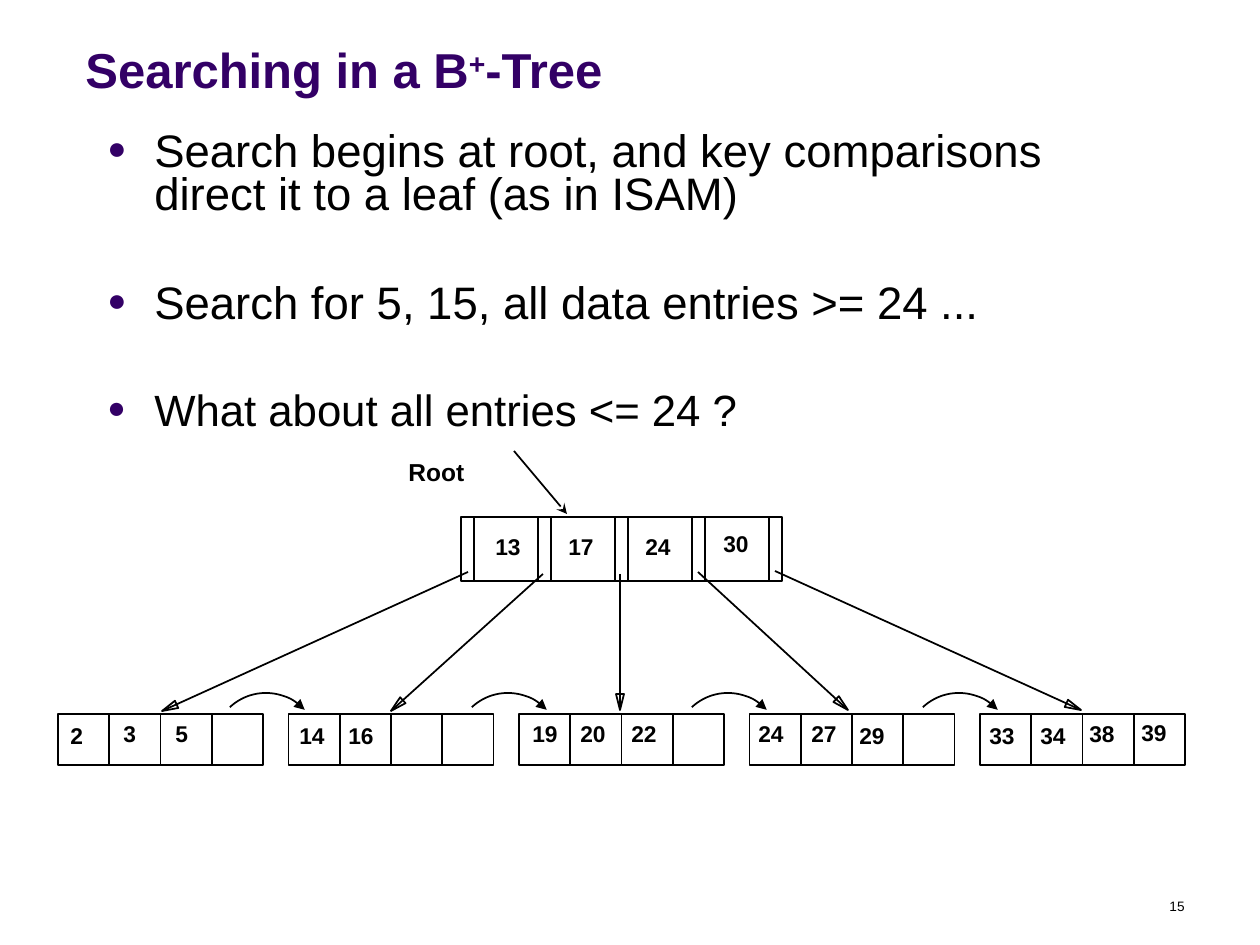
import math

from lxml import etree
from pptx import Presentation
from pptx.dml.color import RGBColor
from pptx.enum.shapes import MSO_CONNECTOR, MSO_SHAPE
from pptx.enum.text import MSO_ANCHOR, PP_ALIGN
from pptx.oxml.ns import qn
from pptx.util import Emu, Pt

STRAIGHT = MSO_CONNECTOR.STRAIGHT
RECTANGLE, ARC = MSO_SHAPE.RECTANGLE, MSO_SHAPE.ARC
TOP, BOTTOM = MSO_ANCHOR.TOP, MSO_ANCHOR.BOTTOM
LEFT, RIGHT = PP_ALIGN.LEFT, PP_ALIGN.RIGHT

SCALE = 914400 // 126
FONT = "Arial"
BLACK, PURPLE = "000000", "330066"

TITLE = [("Searching in a B", 0), ("+", 30), ("-Tree", 0)]
BULLETS = [
    ("Search begins at root, and key comparisons direct it to a leaf (as in ISAM)", 26, 6.5),
    ("Search for 5, 15, all data entries >= 24 ...", 26, 37),
    ("What about all entries <= 24 ?", 25, 37),
]
PAGE_NUMBER = "15"

ROOT_LEFT, ROOT_TOP, ROOT_STEP, ROOT_HEIGHT, STRIP = 461, 517, 77, 64, 13
ROOT_KEYS = [("13", 483, 527), ("17", 556, 527), ("24", 633, 527), ("30", 711, 524)]

LEAF_LEFT, LEAF_TOP, LEAF_STEP, CELL, CELLS = 58, 714, 230.5, 51.25, 4
LEAVES = [
    [("2", 58, 716), ("3", 111, 714), ("5", 163, 714)],
    [("14", 287, 716), ("16", 336, 716)],
    [("19", 520, 714), ("20", 568, 714), ("22", 619, 714)],
    [("24", 746, 714), ("27", 799, 714), ("29", 847, 716)],
    [("33", 977, 716), ("34", 1028, 716), ("38", 1077, 714), ("39", 1129, 713)],
]
POINTERS = [
    ((468, 572), (162, 711)),
    ((543, 574), (391, 711)),
    ((620, 574), (620, 710)),
    ((698, 572), (848, 710)),
    ((775, 571), (1081, 710)),
]
HEAD_LENGTH, HEAD_HALF_WIDTH = 16, 4
ARC_CENTERS, ARC_CENTER_Y, ARC_RADIUS = [266, 508, 728, 959], 746, 53


def px(value):
    return Emu(round(value * SCALE))


def color(value):
    return RGBColor.from_string(value)


def set_line(shape, arrow=None):
    shape.line.color.rgb = color(BLACK)
    shape.line.width = Pt(1)
    if arrow:
        line = shape.line._get_or_add_ln()
        etree.SubElement(line, qn("a:tailEnd"), type=arrow)


def add_text(slide, box, runs, size, fill=BLACK, bold=False, align=LEFT, anchor=TOP, wrap=True):
    shape = slide.shapes.add_textbox(*map(px, box))
    frame = shape.text_frame
    frame.word_wrap = wrap
    frame.vertical_anchor = anchor
    paragraph = frame.paragraphs[0]
    paragraph.alignment = align
    for text, baseline in runs:
        run = paragraph.add_run()
        run.text = text
        format_run(run, size, fill, bold)
        if baseline:
            run.font._element.set("baseline", str(baseline * 1000))


def format_run(run, size, fill=BLACK, bold=False):
    run.font.name = FONT
    run.font.size = Pt(size)
    run.font.bold = bold
    run.font.color.rgb = color(fill)


def add_bullets(slide):
    frame = slide.shapes.add_textbox(*map(px, (95, 126, 1071, 315))).text_frame
    frame.word_wrap = True
    for index, (text, size, space) in enumerate(BULLETS):
        paragraph = frame.add_paragraph() if index else frame.paragraphs[0]
        paragraph.text = text
        paragraph.line_spacing = 0.8
        paragraph.space_before = Pt(space)
        format_run(paragraph.runs[0], size)
        properties = paragraph._p.get_or_add_pPr()
        properties.set("marL", str(px(47)))
        properties.set("indent", str(px(-47)))
        bullet_color = etree.SubElement(properties, qn("a:buClr"))
        etree.SubElement(bullet_color, qn("a:srgbClr"), val=PURPLE)
        etree.SubElement(properties, qn("a:buSzPct"), val="70000")
        etree.SubElement(properties, qn("a:buFont"), typeface=FONT)
        etree.SubElement(properties, qn("a:buChar"), char="●")


def add_cell(slide, left, top, width, height):
    shape = slide.shapes.add_shape(RECTANGLE, *map(px, (left, top, width, height)))
    shape.shadow.inherit = False
    shape.fill.background()
    set_line(shape)


def add_line(slide, start, end, arrow=None):
    connector = slide.shapes.add_connector(STRAIGHT, *map(px, start + end))
    etree.SubElement(connector._element.spPr, qn("a:effectLst"))
    set_line(connector)
    if arrow:
        etree.SubElement(connector.line._get_or_add_ln(), qn("a:tailEnd"), type=arrow)


def add_pointer(slide, start, end):
    add_line(slide, start, end)
    angle = math.atan2(end[1] - start[1], end[0] - start[0])
    cosine, sine = math.cos(angle), math.sin(angle)
    corners = [
        (px(end[0] - HEAD_LENGTH * cosine - side * sine),
         px(end[1] - HEAD_LENGTH * sine + side * cosine))
        for side in (HEAD_HALF_WIDTH, -HEAD_HALF_WIDTH)
    ]
    builder = slide.shapes.build_freeform(px(end[0]), px(end[1]))
    builder.add_line_segments(corners, close=True)
    head = builder.convert_to_shape()
    head.shadow.inherit = False
    head.fill.background()
    set_line(head)


def add_arc(slide, center):
    box = (center - ARC_RADIUS, ARC_CENTER_Y - ARC_RADIUS, 2 * ARC_RADIUS, 2 * ARC_RADIUS)
    arc = slide.shapes.add_shape(ARC, *map(px, box))
    arc.rotation = 317
    arc.shadow.inherit = False
    arc.fill.background()
    set_line(arc, "triangle")


def add_keys(slide, keys):
    for text, left, top in keys:
        width = 38 if len(text) == 1 else 50
        add_text(slide, (left, top, width, 40), [(text, 0)], 13, bold=True, wrap=False)


def main():
    presentation = Presentation()
    presentation.slide_width, presentation.slide_height = px(1260), px(945)
    slide = presentation.slides.add_slide(presentation.slide_layouts[6])

    add_text(slide, (903, 892, 294, 32), [(PAGE_NUMBER, 0)], 7.8, align=RIGHT)
    add_text(slide, (73, 21, 1018, 84), TITLE, 28, PURPLE, bold=True, anchor=BOTTOM)
    add_bullets(slide)

    for index in range(len(ROOT_KEYS)):
        left = ROOT_LEFT + index * ROOT_STEP
        add_cell(slide, left, ROOT_TOP, ROOT_STEP, ROOT_HEIGHT)
        add_line(slide, (left + STRIP, ROOT_TOP), (left + STRIP, ROOT_TOP + ROOT_HEIGHT))
    add_cell(slide, ROOT_LEFT + len(ROOT_KEYS) * ROOT_STEP, ROOT_TOP, STRIP, ROOT_HEIGHT)
    add_keys(slide, ROOT_KEYS)

    for index, keys in enumerate(LEAVES):
        for position in range(CELLS):
            left = LEAF_LEFT + index * LEAF_STEP + position * CELL
            add_cell(slide, left, LEAF_TOP, CELL, CELL)
        add_keys(slide, keys)

    for start, end in POINTERS:
        add_pointer(slide, start, end)
    add_text(slide, (396, 451, 82, 42), [("Root", 0)], 14, bold=True, wrap=False)
    add_line(slide, (514, 451), (567, 514), "stealth")
    for center in ARC_CENTERS:
        add_arc(slide, center)

    presentation.save("out.pptx")


if __name__ == "__main__":
    main()
